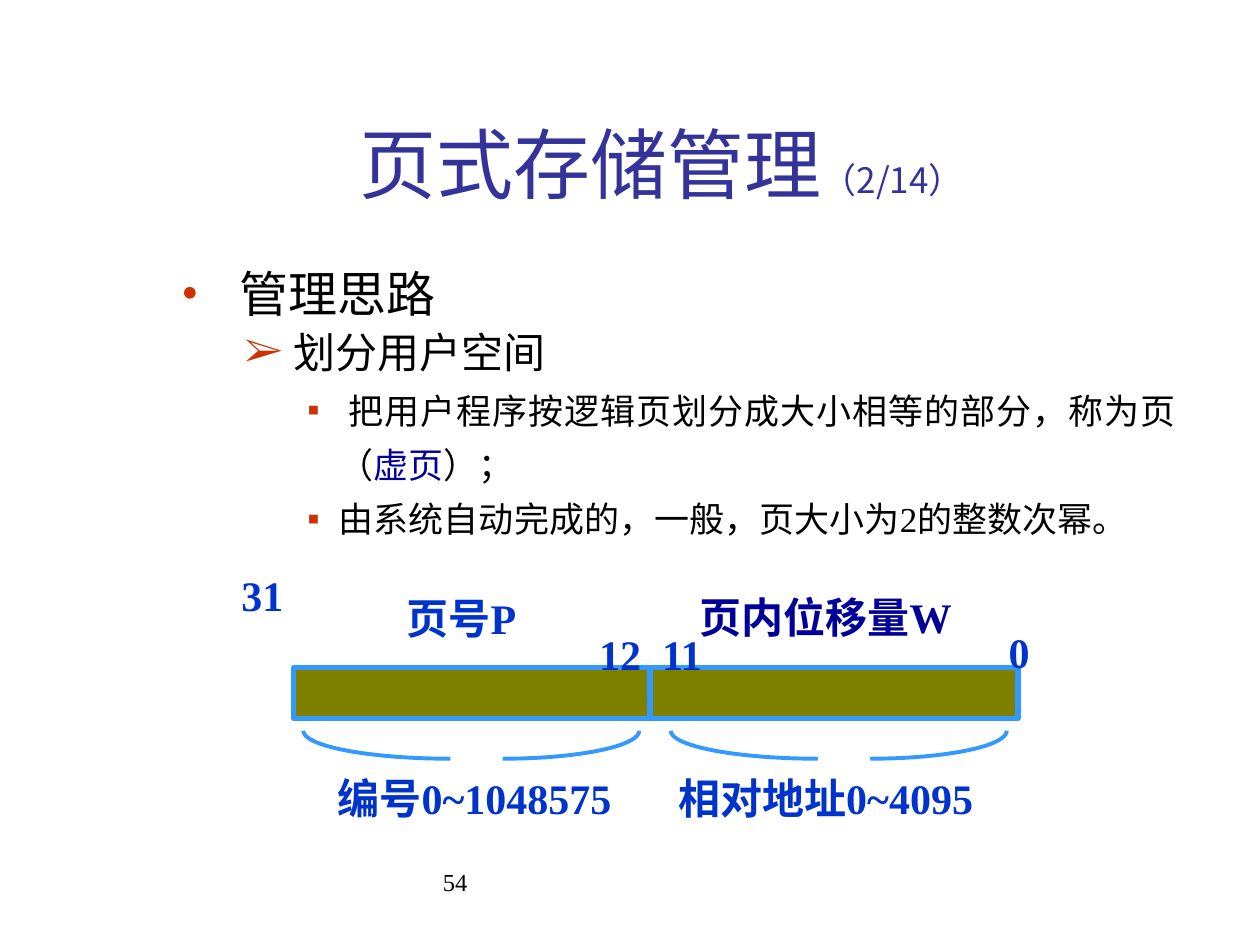
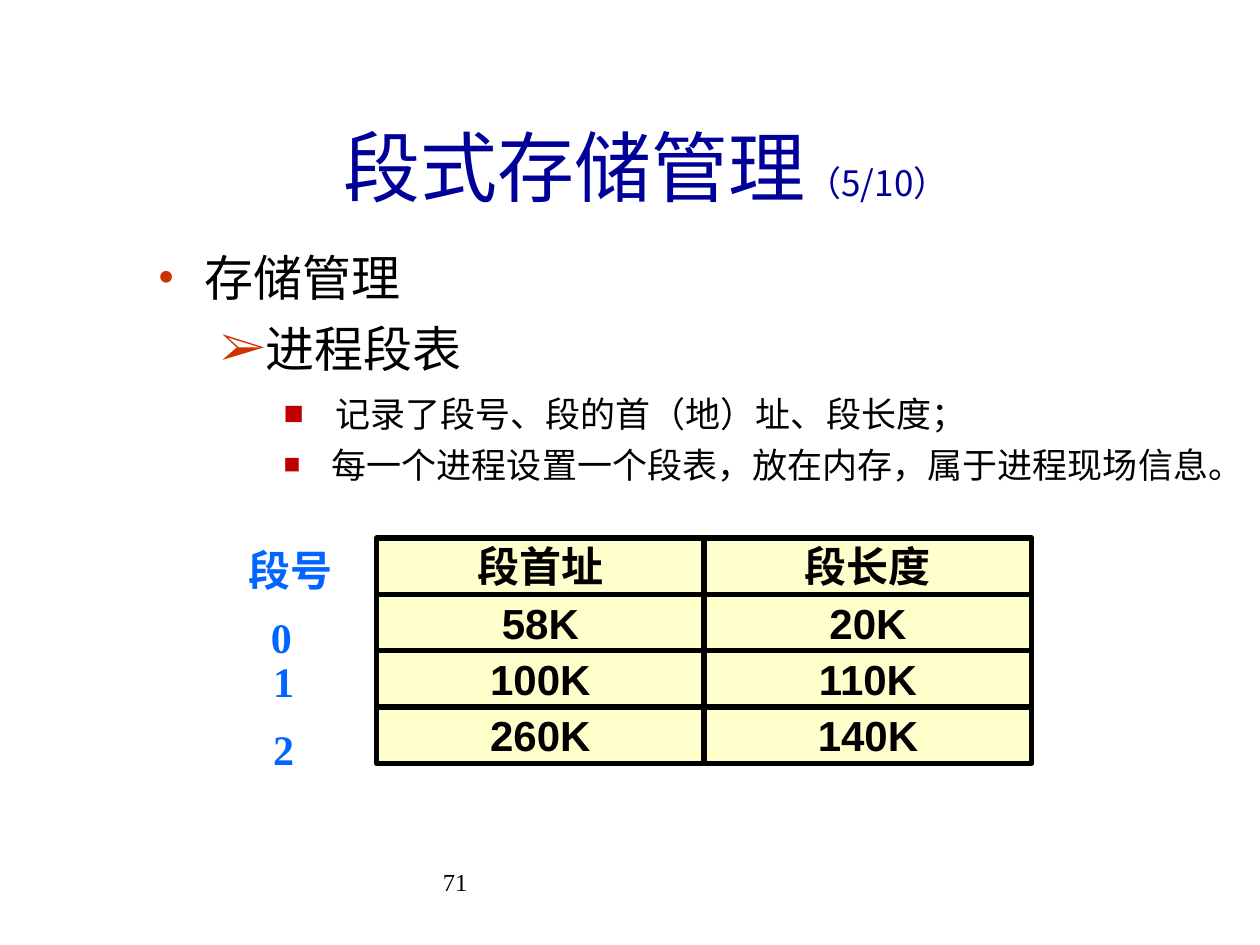
import math

from lxml import etree
from pptx import Presentation
from pptx.dml.color import RGBColor
from pptx.enum.shapes import MSO_CONNECTOR, MSO_SHAPE
from pptx.enum.text import MSO_ANCHOR, MSO_AUTO_SIZE, PP_ALIGN
from pptx.oxml.ns import qn
from pptx.util import Pt

STRAIGHT = MSO_CONNECTOR.STRAIGHT
RECTANGLE = MSO_SHAPE.RECTANGLE
MIDDLE = MSO_ANCHOR.MIDDLE
FIT_SHAPE = MSO_AUTO_SIZE.SHAPE_TO_FIT_TEXT
LEFT, CENTER, JUSTIFY = PP_ALIGN.LEFT, PP_ALIGN.CENTER, PP_ALIGN.JUSTIFY

COLORS = {
    "text": "000000",
    "title": "333399",
    "navy": "000099",
    "bullet": "CC3300",
    "square": "C00000",
    "label": "0033CC",
    "row_label": "0066FF",
    "bar": "808000",
    "outline": "3399FF",
    "cell": "FFFFCC",
}
SANS, SERIF, ARIAL = "Noto Sans CJK SC", "Times New Roman", "Arial"
BLANK_LAYOUT = 6
TOPIC_BULLET = ("•", "bullet", 100, 27, 27)
ARROW_BULLET = ("➢", "bullet", 100, 58.5, 22.5)


def rgb(name):
    return RGBColor.from_string(COLORS[name])


def style_font(font, size, face, color="text", bold=False):
    font.size = Pt(size)
    font.name = face
    font.bold = bold
    font.color.rgb = rgb(color)
    etree.SubElement(font._rPr, qn("a:ea"), typeface=SANS)


def style_line(shape, color, width):
    shape.line.color.rgb = rgb(color)
    shape.line.width = Pt(width)


def add_text_frame(slide, left, top, width, height):
    shape = slide.shapes.add_textbox(Pt(left), Pt(top), Pt(width), Pt(height))
    shape.text_frame.word_wrap = True
    return shape.text_frame


def add_label(slide, text, left, top, width, color, size=24, bold=True):
    """Place one unwrapped line of serif text."""
    frame = add_text_frame(slide, left, top, width, 36)
    frame.word_wrap = False
    frame.auto_size = FIT_SHAPE
    paragraph = frame.paragraphs[0]
    paragraph.text = text
    style_font(paragraph.font, size, SERIF, color, bold)


def add_title(slide, box, text, counter, color):
    frame = add_text_frame(slide, *box)
    frame.vertical_anchor = MIDDLE
    paragraph = frame.paragraphs[0]
    paragraph.alignment = CENTER
    for part, size in ((text, 44), (counter, 20)):
        run = paragraph.add_run()
        run.text = part
        style_font(run.font, size, SANS, color)


def add_page_number(slide, number):
    paragraph = add_text_frame(slide, 246, 491.8, 228, 36).paragraphs[0]
    paragraph.text = number
    style_font(paragraph.font, 14, SERIF)


def set_bullet(paragraph, character, color, percent, margin, hanging):
    properties = paragraph._p.get_or_add_pPr()
    properties.set("marL", str(Pt(margin)))
    properties.set("indent", str(-Pt(hanging)))
    bullet_color = etree.SubElement(properties, qn("a:buClr"))
    etree.SubElement(bullet_color, qn("a:srgbClr"), val=COLORS[color])
    etree.SubElement(properties, qn("a:buSzPct"), val=str(percent * 1000))
    etree.SubElement(properties, qn("a:buFont"), typeface=SERIF)
    etree.SubElement(properties, qn("a:buChar"), char=character)


def add_outline(slide, box, items):
    """Each item holds its runs, bullet, font, line spacing, space before, alignment."""
    frame = add_text_frame(slide, *box)
    for index, (runs, bullet, font, spacing, before, alignment) in enumerate(items):
        paragraph = frame.add_paragraph() if index else frame.paragraphs[0]
        set_bullet(paragraph, *bullet)
        paragraph.alignment = alignment
        paragraph.line_spacing = spacing
        paragraph.space_before = Pt(before)
        style_font(paragraph.font, *font)
        for text, color in runs:
            run = paragraph.add_run()
            run.text = text
            if color:
                run.font.color.rgb = rgb(color)


def add_rectangle(slide, left, top, width, height, fill, outline):
    shape = slide.shapes.add_shape(
        RECTANGLE, Pt(left), Pt(top), Pt(width), Pt(height)
    )
    shape.shadow.inherit = False
    shape.fill.solid()
    shape.fill.fore_color.rgb = rgb(fill)
    style_line(shape, outline, 3)
    return shape


def add_arc(slide, center, top, width, height):
    """Quarter ellipse from its outer tip to the bottom; negative width opens left."""
    steps = 24
    angles = [math.pi / 2 * step / steps for step in range(steps + 1)]
    points = [
        (Pt(center + width * math.cos(angle)), Pt(top + height * math.sin(angle)))
        for angle in angles
    ]
    builder = slide.shapes.build_freeform(*points[0])
    builder.add_line_segments(points[1:], close=False)
    arc = builder.convert_to_shape()
    arc.shadow.inherit = False
    arc.fill.background()
    style_line(arc, "outline", 2.25)


def add_address_diagram(slide, left, top, width, height):
    """Address word split into page number and offset."""
    # Bar with a divider between bits 12 and 11
    add_rectangle(slide, left, top, width, height, "bar", "outline")
    middle = left + 203.7
    divider = slide.shapes.add_connector(
        STRAIGHT, Pt(middle), Pt(top), Pt(middle), Pt(top + height)
    )
    etree.SubElement(divider._element.spPr, qn("a:effectLst"))
    style_line(divider, "outline", 3)

    # Bit numbers, field names and ranges
    for text, x, y, label_width, color in (
        ("31", -37, -59.5, 38.4, "label"),
        ("12", 167.5, -25.7, 38.4, "label"),
        ("11", 203.5, -25.7, 38.4, "label"),
        ("0", 401.5, -27.2, 26.4, "label"),
        ("页号P", 57.5, -46.6, 83, "label"),
        ("页内位移量W", 225, -47.3, 164, "navy"),
        ("编号0~1048575", 18, 56.3, 176.4, "label"),
        ("相对地址0~4095", 212.7, 56.3, 189, "label"),
    ):
        add_label(slide, text, left + x, top + y, label_width, color)

    # Open braces under both fields
    for field in range(2):
        brace_left = left + 5.5 + field * 210
        add_arc(slide, brace_left + 84, top + 36, -84, 16)
        add_arc(slide, brace_left + 114, top + 36, 78, 16)


def add_segment_grid(slide, left, top, width, height):
    """Grid of segment cells with the segment numbers to its left."""
    rows = (("段首址", "段长度"), ("58K", "20K"), ("100K", "110K"), ("260K", "140K"))
    cell_width, cell_height = width / 2, height / len(rows)
    for row_index, row in enumerate(rows):
        for column_index, text in enumerate(row):
            cell = add_rectangle(
                slide,
                left + column_index * cell_width,
                top + row_index * cell_height,
                cell_width,
                cell_height,
                "cell",
                "text",
            )
            frame = cell.text_frame
            frame.word_wrap = False
            frame.vertical_anchor = MIDDLE
            paragraph = frame.paragraphs[0]
            paragraph.text = text
            paragraph.alignment = CENTER
            style_font(paragraph.font, 24, ARIAL, bold=True)

    # Segment numbers
    for text, x, y, label_width in (
        ("段号", -80.5, 0, 62.4),
        ("0", -67.5, 38.3, 26.4),
        ("1", -66.2, 63.5, 26.4),
        ("2", -66.2, 102.5, 26.4),
    ):
        add_label(slide, text, left + x, top + y, label_width, "row_label")


def build_paging_slide(slide):
    add_page_number(slide, "54")
    detail = ("▪", "bullet", 100, 90, 18)
    small = (20, SERIF)
    split = [
        (" 把用户程序按逻辑页划分成大小相等的部分，称为页（", None),
        ("虚页", "navy"),
        ("）；", None),
    ]
    automatic = [("由系统自动完成的，一般，页大小为2的整数次幂。", None)]
    add_outline(slide, (96.5, 130.3, 582.5, 337.7), [
        ([(" 管理思路", None)], TOPIC_BULLET, (28, SANS), 1.5, 0, LEFT),
        ([(" 划分用户空间", None)], ARROW_BULLET, (24, SANS), Pt(31), 0, LEFT),
        (split, detail, small, Pt(31), 0, JUSTIFY),
        (automatic, detail, small, Pt(31), 0, JUSTIFY),
    ])
    add_title(slide, (72, 48, 612, 90), "页式存储管理", "（2/14）", "title")
    add_address_diagram(slide, 167.8, 381.6, 414, 29)


def build_segment_slide(slide):
    add_page_number(slide, "71")
    large, small = (28, SERIF), (20, SERIF)
    record = [("记录了段号、段的首（地）址、段长度；", None)]
    resident = [("每一个进程设置一个段表，放在内存，属于进程现场信息。", None)]
    add_outline(slide, (83, 138, 637, 326), [
        ([("存储管理", None)], TOPIC_BULLET, large, 1.0, 7, LEFT),
        ([("进程段表", None)], ARROW_BULLET, large, 1.0, 7, LEFT),
        (record, ("■", "square", 96, 101.5, 29.5), small, 1.0, 8.5, LEFT),
        (resident, ("■", "square", 80, 99.5, 27.5), small, 1.0, 5, LEFT),
    ])
    add_segment_grid(slide, 215.2, 307.4, 374.4, 128.8)
    add_title(slide, (72, 52.6, 594.7, 84.2), "段式存储管理", "（5/10）", "navy")


def main():
    presentation = Presentation()
    presentation.slide_width = Pt(720)
    presentation.slide_height = Pt(540)
    for build in (build_paging_slide, build_segment_slide):
        build(presentation.slides.add_slide(presentation.slide_layouts[BLANK_LAYOUT]))
    presentation.save("out.pptx")


if __name__ == "__main__":
    main()
